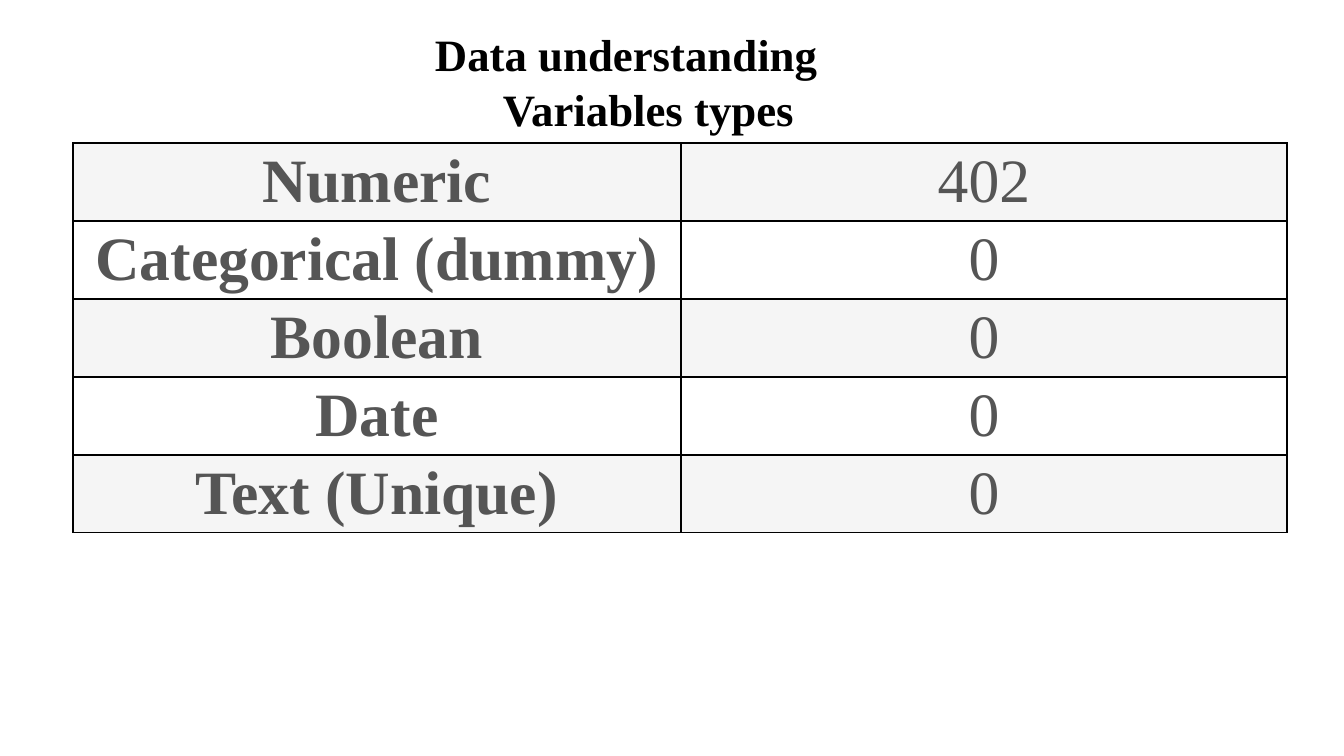
from lxml import etree
from pptx import Presentation
from pptx import util as u
from pptx.dml.color import RGBColor
from pptx.enum import text
from pptx.oxml.ns import qn

# Heading lines: text, left indent in px, space before in pt
HEADING = [("Data understanding", 134, 0), ("Variables types", 202, 1)]
VARIABLE_TYPES = [
    ("Numeric", "402"),
    ("Categorical (dummy)", "0"),
    ("Boolean", "0"),
    ("Date", "0"),
    ("Text (Unique)", "0"),
]

FONT = "Times New Roman"
BLACK = RGBColor(0, 0, 0)
GREY = RGBColor(0x55, 0x55, 0x55)
STRIPES = [RGBColor(0xF5, 0xF5, 0xF5), RGBColor(0xFF, 0xFF, 0xFF)]

SLIDE_W, SLIDE_H = 1344, 756
HEADING_BOX = (291, 16, 692, 204)
TABLE_LEFT, TABLE_TOP = 73, 143
COL_WIDTHS = [608, 606]
ROW_H = 78


def px(n):
    return u.Emu(round(n * 914400 / 100.8))


def write(p, words, size, color, bold=False, align=None):
    r = p.add_run()
    r.text = words
    r.font.name = FONT
    r.font.size = u.Pt(size)
    r.font.color.rgb = color
    r.font.bold = bold
    p.alignment = align


def add_borders(cell):
    """Draw a 1 pt black line on every side; borders must precede the fill."""
    tcPr = cell._tc.get_or_add_tcPr()
    for i, side in enumerate(("a:lnL", "a:lnR", "a:lnT", "a:lnB")):
        ln = etree.Element(qn(side), w=str(u.Pt(1)))
        fill = etree.SubElement(ln, qn("a:solidFill"))
        etree.SubElement(fill, qn("a:srgbClr"), val=str(BLACK))
        tcPr.insert(i, ln)


def add_variable_table(slide):
    n = len(VARIABLE_TYPES)
    frame = slide.shapes.add_table(
        n, len(COL_WIDTHS), px(TABLE_LEFT), px(TABLE_TOP),
        px(sum(COL_WIDTHS)), px(ROW_H * n))
    table = frame.table
    for col, width in zip(table.columns, COL_WIDTHS):
        col.width = px(width)
    for i, values in enumerate(VARIABLE_TYPES):
        table.rows[i].height = px(ROW_H)
        for j, value in enumerate(values):
            cell = table.cell(i, j)
            cell.fill.solid()
            cell.fill.fore_color.rgb = STRIPES[i % 2]
            cell.vertical_anchor = text.MSO_ANCHOR.MIDDLE
            cell.margin_left = cell.margin_right = px(1)
            cell.margin_top = cell.margin_bottom = px(1)
            write(cell.text_frame.paragraphs[0], value, 44, GREY,
                  bold=j == 0, align=text.PP_ALIGN.CENTER)
            add_borders(cell)


def add_heading(slide):
    tf = slide.shapes.add_textbox(*map(px, HEADING_BOX)).text_frame
    tf.word_wrap = True
    tf.margin_top = px(11)
    for i, (words, indent, before) in enumerate(HEADING):
        p = tf.add_paragraph() if i else tf.paragraphs[0]
        p._p.get_or_add_pPr().set("marL", str(px(indent)))
        if before:
            p.space_before = u.Pt(before)
        write(p, words, 32, BLACK, bold=True)


def main():
    prs = Presentation()
    prs.slide_width, prs.slide_height = px(SLIDE_W), px(SLIDE_H)
    slide = prs.slides.add_slide(prs.slide_layouts[6])
    add_variable_table(slide)
    add_heading(slide)
    prs.save("out.pptx")


if __name__ == "__main__":
    main()
